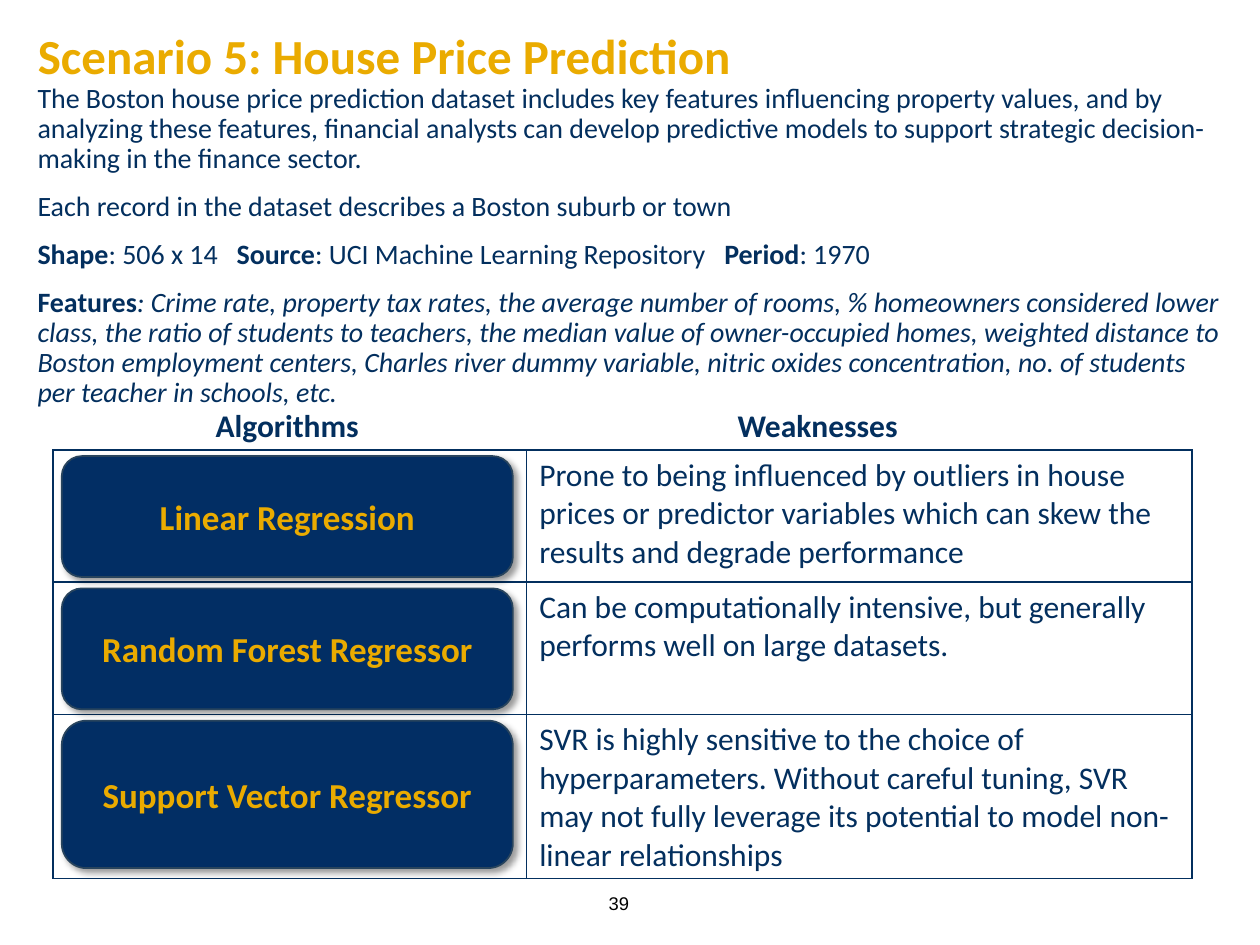
from lxml.etree import SubElement
from pptx import Presentation
from pptx.dml.color import RGBColor
from pptx.enum.shapes import MSO_SHAPE
from pptx.enum.text import MSO_ANCHOR, MSO_AUTO_SIZE, PP_ALIGN
from pptx.oxml import parse_xml
from pptx.oxml.ns import nsdecls, qn
from pptx.util import Inches, Pt

GOLD = RGBColor(0xEA, 0xAB, 0x00)
NAVY = RGBColor(0x03, 0x2F, 0x5E)
BUTTON_FILL = RGBColor(0x02, 0x2E, 0x64)
BUTTON_LINE = RGBColor(0x28, 0x44, 0x5D)
BLACK = RGBColor(0, 0, 0)

TITLE = {"name": "Calibri", "size": Pt(28), "bold": True}
INTRO = {"name": "Calibri", "size": Pt(16), "bold": False}
LABEL = {"name": "Calibri", "size": Pt(18), "bold": True}
WEAKNESS = {"name": "Calibri", "size": Pt(18), "bold": False}
ALGORITHM = {"name": "Calibri", "size": Pt(20), "bold": True}
NUMBER = {"name": "Arial", "size": Pt(10.5), "bold": False}

presentation = Presentation()
presentation.slide_width = Inches(10)
presentation.slide_height = Inches(7.5)
slide = presentation.slides.add_slide(presentation.slide_layouts[5])


def area(left, top, width, height):
    across = presentation.slide_width / 100
    down = presentation.slide_height / 100
    return [round(v) for v in (left * across, top * down, width * across, height * down)]


def write(paragraph, text, look, color, align=PP_ALIGN.LEFT, **extra):
    paragraph.alignment = align
    run = paragraph.add_run()
    run.text = text
    for attribute, value in {**look, **extra}.items():
        setattr(run.font, attribute, value)
    run.font.color.rgb = color


page_number = slide.shapes.add_textbox(*area(46, 92.93, 4.9, 5.33)).text_frame
page_number.word_wrap = True
page_number.vertical_anchor = MSO_ANCHOR.MIDDLE
write(page_number.paragraphs[0], "39", NUMBER, BLACK, PP_ALIGN.RIGHT)

heading = slide.shapes.title
heading.left, heading.top, heading.width, heading.height = area(2, -0.4, 66.2, 13.2)
heading.text_frame.vertical_anchor = MSO_ANCHOR.MIDDLE
heading.text_frame.auto_size = MSO_AUTO_SIZE.NONE
heading_line = heading.text_frame.paragraphs[0]
heading_line.line_spacing = 0.9
write(heading_line, "Scenario 5: House Price Prediction", TITLE, GOLD)

intro_paragraphs = [
    [("The Boston house price prediction dataset includes key features influencing "
      "property values, and by analyzing these features, financial analysts can develop "
      "predictive models to support strategic decision-making in the finance sector.", {})],
    [("Each record in the dataset describes a Boston suburb or town", {})],
    [("Shape", {"bold": True}), (": 506 x 14\t", {}),
     ("Source", {"bold": True}), (": UCI Machine Learning Repository\t", {}),
     ("Period", {"bold": True}), (": 1970", {})],
    [("Features", {"bold": True}),
     (": Crime rate, property tax rates, the average number of rooms, % homeowners "
      "considered lower class, the ratio of students to teachers, the median value of "
      "owner-occupied homes, weighted distance to Boston employment centers, Charles river "
      "dummy variable, nitric oxides concentration, no. of students per teacher in schools, "
      "etc.", {"italic": True})],
]
intro = slide.shapes.add_textbox(*area(2, 8.27, 96, 35.2)).text_frame
intro.word_wrap = True
for index, parts in enumerate(intro_paragraphs):
    paragraph = intro.paragraphs[0] if index == 0 else intro.add_paragraph()
    paragraph.line_spacing = 0.9
    paragraph.space_before = Pt(10 if index else 0)
    for text, extra in parts:
        write(paragraph, text, INTRO, NAVY, **extra)

facts = intro.paragraphs[2]
tab_stops = SubElement(facts._p.get_or_add_pPr(), qn("a:tabLst"))
for stop in (1.58, 5.45):
    SubElement(tab_stops, qn("a:tab"), pos=str(Inches(stop)), algn="l")

for text, left in (("Algorithms", 14.5), ("Weaknesses", 56.6)):
    label = slide.shapes.add_textbox(*area(left, 42.27, 16.6, 5.33)).text_frame
    label.word_wrap = True
    label.auto_size = MSO_AUTO_SIZE.SHAPE_TO_FIT_TEXT
    write(label.paragraphs[0], text, LABEL, NAVY, PP_ALIGN.CENTER)

comparison = [
    ("Linear Regression", 14, 12.8,
     "Prone to being influenced by outliers in house prices or predictor variables which "
     "can skew the results and degrade performance"),
    ("Random Forest Regressor", 14, 12.8,
     "Can be computationally intensive, but generally performs well on large datasets."),
    ("Support Vector Regressor", 17.33, 15.6,
     "SVR is highly sensitive to the choice of hyperparameters. Without careful tuning, SVR "
     "may not fully leverage its potential to model non-linear relationships"),
]
table_area = area(4.2, 47.6, 90.4, 45.33)
table = slide.shapes.add_table(len(comparison), 2, *table_area).table
table.first_row = False
table.horz_banding = False
for column, share in zip(table.columns, (37.6, 52.8)):
    column.width = area(0, 0, share, 0)[2]

row_top = 47.6
for row, (algorithm, row_height, button_height, weakness) in enumerate(comparison):
    table.rows[row].height = area(0, 0, 0, row_height)[3]
    write(table.cell(row, 1).text_frame.paragraphs[0], weakness, WEAKNESS, NAVY)
    for cell in table.rows[row].cells:
        cell.fill.background()
        for position, side in enumerate(("lnL", "lnR", "lnT", "lnB")):
            cell._tc.get_or_add_tcPr().insert(position, parse_xml(
                f'<a:{side} {nsdecls("a")} w="{Pt(1)}"><a:solidFill>'
                f'<a:srgbClr val="{NAVY}"/></a:solidFill></a:{side}>'))

    button = slide.shapes.add_shape(
        MSO_SHAPE.ROUNDED_RECTANGLE, *area(4.9, row_top + 0.67, 35.8, button_height))
    button.fill.solid()
    button.fill.fore_color.rgb = BUTTON_FILL
    button.line.color.rgb = BUTTON_LINE
    button.line.width = Pt(1)
    button.shadow.inherit = False
    button._element.spPr.find(qn("a:effectLst")).append(parse_xml(
        f'<a:outerShdw {nsdecls("a")} blurRad="{Pt(4)}" dist="{Pt(3)}" dir="2700000" '
        f'algn="tl" rotWithShape="0"><a:srgbClr val="{BLACK}"><a:alpha val="40000"/>'
        '</a:srgbClr></a:outerShdw>'))
    button.text_frame.word_wrap = True
    button.text_frame.vertical_anchor = MSO_ANCHOR.MIDDLE
    write(button.text_frame.paragraphs[0], algorithm, ALGORITHM, GOLD, PP_ALIGN.CENTER)
    row_top += row_height

presentation.save("out.pptx")
